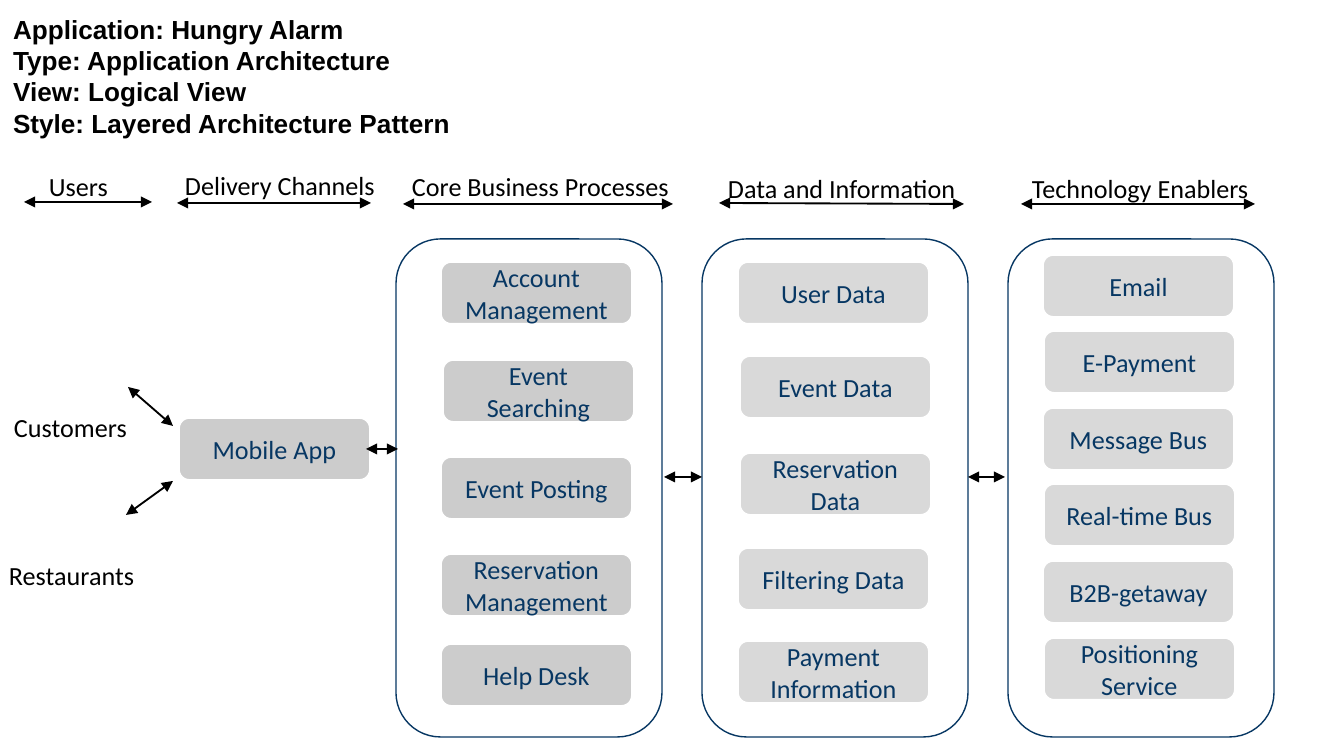
"""Build the layered architecture slide of the Hungry Alarm application."""
import dataclasses

import lxml.etree
import pptx
import pptx.dml.color
import pptx.enum.shapes
import pptx.enum.text
import pptx.oxml.ns
import pptx.util

ALIGN = pptx.enum.text.PP_ALIGN
ANCHOR = pptx.enum.text.MSO_ANCHOR
SHAPE = pptx.enum.shapes.MSO_SHAPE


@dataclasses.dataclass(frozen=True)
class Theme:
    ink: str = "000000"
    navy: str = "073763"
    white: str = "FFFFFF"
    gray: str = "CCCCCC"
    light: str = "D9D9D9"
    heading_font: str = "Arial"
    body_font: str = "Calibri"
    size: float = 14
    arrow_width: float = 1
    panel_width: float = 0.75
    corner: float = 0.167


def px(length):
    return pptx.util.Emu(round(length * 914400 / 134.4))


def rgb(color):
    return pptx.dml.color.RGBColor.from_string(color)


def assign(target, values):
    for name, value in values.items():
        setattr(target, name, value)


@dataclasses.dataclass
class Diagram:
    theme: Theme
    page: object

    def fill_text(self, shape, lines, color, font, bold=False, align=ALIGN.LEFT,
                  anchor=ANCHOR.TOP, inset=(9, 5)):
        frame = shape.text_frame
        side, edge = map(px, inset)
        assign(frame, {"word_wrap": True, "auto_size": pptx.enum.text.MSO_AUTO_SIZE.NONE,
                       "vertical_anchor": anchor, "margin_left": side, "margin_right": side,
                       "margin_top": edge, "margin_bottom": edge})
        for index, line in enumerate(lines):
            para = frame.add_paragraph() if index else frame.paragraphs[0]
            para.alignment = align
            span = para.add_run()
            span.text = line
            assign(span.font, {"name": font, "size": pptx.util.Pt(self.theme.size), "bold": bold})
            span.font.color.rgb = rgb(color)

    def heading(self, lines, *bounds):
        title = self.page.shapes.title
        assign(title, dict(zip(("left", "top", "width", "height"), map(px, bounds))))
        self.fill_text(title, lines, self.theme.ink, self.theme.heading_font,
                       bold=True, inset=(13, 13))

    def label(self, text, *bounds):
        box = self.page.shapes.add_textbox(*map(px, bounds))
        self.fill_text(box, [text], self.theme.ink, self.theme.body_font)

    def rounded(self, bounds, line, width):
        box = self.page.shapes.add_shape(SHAPE.ROUNDED_RECTANGLE, *map(px, bounds))
        box.shadow.inherit = False
        box.adjustments[0] = self.theme.corner
        box.line.color.rgb = rgb(line)
        box.line.width = pptx.util.Pt(width)
        return box

    def component(self, text, left, top, fill):
        box = self.rounded((left, top, 191, 62), self.theme.white, self.theme.arrow_width)
        box.fill.solid()
        box.fill.fore_color.rgb = rgb(fill)
        self.fill_text(box, [text], self.theme.navy, self.theme.body_font,
                       align=ALIGN.CENTER, anchor=ANCHOR.MIDDLE)

    def panel(self, *bounds):
        self.rounded(bounds, self.theme.navy, self.theme.panel_width).fill.background()

    def arrow(self, *ends):
        kind = pptx.enum.shapes.MSO_CONNECTOR.STRAIGHT
        link = self.page.shapes.add_connector(kind, *map(px, ends))
        link.line.color.rgb = rgb(self.theme.ink)
        link.line.width = pptx.util.Pt(self.theme.arrow_width)
        properties = link.element.spPr
        outline = properties.find(pptx.oxml.ns.qn("a:ln"))
        for tip in ("a:headEnd", "a:tailEnd"):
            lxml.etree.SubElement(outline, pptx.oxml.ns.qn(tip), type="triangle")
        lxml.etree.SubElement(properties, pptx.oxml.ns.qn("a:effectLst"))


HEADING = ["Application: Hungry Alarm", "Type: Application Architecture",
           "View: Logical View", "Style: Layered Architecture Pattern"]
LABELS = [
    ("Users", 40, 165, 105, 30),
    ("Delivery Channels", 176, 164, 223, 30),
    ("Core Business Processes", 403, 165, 282, 30),
    ("Data and Information", 719, 167, 254, 30),
    ("Technology Enablers", 1023, 167, 254, 30),
    ("Customers", 5, 406, 138, 71),
    ("Restaurants", 0, 554, 152, 40),
]
ARROWS = [
    (24, 202, 152, 202), (177, 203, 371, 203), (403, 204, 673, 204),
    (719, 203, 964, 204), (1021, 204, 1255, 204),
    (128, 387, 173, 426), (126, 515, 173, 481),
    (366, 449, 398, 449), (664, 477, 702, 477), (968, 477, 1005, 477),
]
PROCESSES = [
    ("Mobile App", 179, 418), ("Account Management", 441, 262), ("Event Searching", 443, 360),
    ("Event Posting", 441, 457), ("Reservation Management", 441, 554), ("Help Desk", 441, 644),
]
DATA = [
    ("User Data", 738, 262), ("Event Data", 740, 356), ("Reservation Data", 740, 453),
    ("Filtering Data", 738, 548), ("Payment Information", 738, 641),
]
ENABLERS = ["Email", "E-Payment", "Message Bus", "Real-time Bus", "B2B-getaway",
            "Positioning Service"]


def main():
    theme = Theme()
    deck = pptx.Presentation()
    assign(deck, {"slide_width": px(1344), "slide_height": px(756)})
    diagram = Diagram(theme, deck.slides.add_slide(deck.slide_layouts[5]))
    diagram.heading(HEADING, 0, 0, 560, 155)
    for label in LABELS:
        diagram.label(*label)
    for process in PROCESSES:
        diagram.component(*process, theme.gray)
    for item in DATA:
        diagram.component(*item, theme.light)
    for index, name in enumerate(ENABLERS):
        diagram.component(name, 1043 + index % 2, 255 + 383 * index // 5, theme.light)
    for column in range(3):
        diagram.panel(396 + 306 * column, 239, 266, 498)
    for arrow in ARROWS:
        diagram.arrow(*arrow)
    deck.save("out.pptx")


main()
